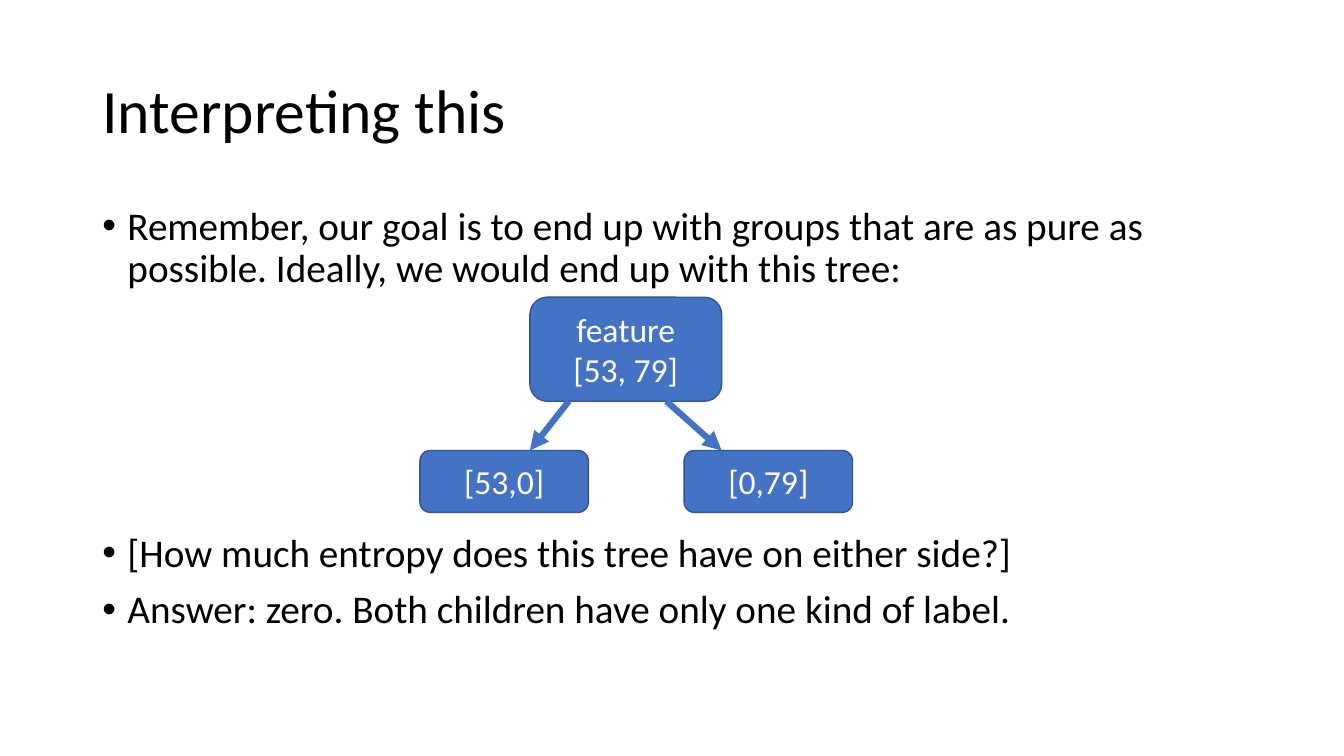
from lxml.etree import SubElement
from pptx import Presentation
from pptx.dml.color import RGBColor
from pptx.enum.shapes import MSO_CONNECTOR, MSO_SHAPE
from pptx.enum.text import MSO_ANCHOR, PP_ALIGN
from pptx.oxml.ns import qn
from pptx.util import Pt

# Content
TITLE = "Interpreting this"
BULLETS = [  # text, space before (the tree sits in the large gap)
    ("Remember, our goal is to end up with groups that are as pure as "
     "possible. Ideally, we would end up with this tree:", 10),
    ("[How much entropy does this tree have on either side?]", 173),
    ("Answer: zero. Both children have only one kind of label.", 10),
]
ROOT_LINES = ["feature", "[53, 79]"]
CHILD_LABELS = ["[53,0]", "[0,79]"]

# Layout and style, lengths in points
FONT = "Calibri"
BLACK, WHITE, BLUE, DARK_BLUE = "000000", "FFFFFF", "4472C4", "325491"
MARGIN, CONTENT_WIDTH, INDENT = 66, 828, 18
ROOT_LEFT, ROOT_TOP, ROOT_WIDTH, ROOT_HEIGHT = 378.5, 212.3, 137, 74.3
CHILD_LEFT, CHILD_TOP, CHILD_WIDTH, CHILD_HEIGHT = 300, 321.8, 120.3, 44.2
CHILD_STEP = 188.7
ARROW_STARTS = [406.3, 476]


def color(value):
    return RGBColor.from_string(value)


def format_text(para, size, value):
    for span in para.runs:
        span.font.name = FONT
        span.font.size = Pt(size)
        span.font.color.rgb = color(value)


def add_node(page, left, top, width, height, lines):
    box = page.shapes.add_shape(MSO_SHAPE.ROUNDED_RECTANGLE,
                                Pt(left), Pt(top), Pt(width), Pt(height))
    box.shadow.inherit = False
    box.fill.solid()
    box.fill.fore_color.rgb = color(BLUE)
    box.line.color.rgb = color(DARK_BLUE)
    box.line.width = Pt(1)
    frame = box.text_frame
    frame.text = "\n".join(lines)
    frame.vertical_anchor = MSO_ANCHOR.MIDDLE
    for para in frame.paragraphs:
        para.alignment = PP_ALIGN.CENTER
        format_text(para, 24, WHITE)


def add_arrow(page, start_x, start_y, end_x, end_y):
    arrow = page.shapes.add_connector(MSO_CONNECTOR.STRAIGHT, Pt(start_x),
                                      Pt(start_y), Pt(end_x), Pt(end_y))
    arrow.line.color.rgb = color(BLUE)
    arrow.line.width = Pt(4.5)
    SubElement(arrow.line._get_or_add_ln(), qn("a:tailEnd"), type="triangle")
    SubElement(arrow._element.spPr, qn("a:effectLst"))


deck = Presentation()
deck.slide_width, deck.slide_height = Pt(960), Pt(540)
page = deck.slides.add_slide(deck.slide_layouts[5])

# Title
title = page.shapes.title
title.left, title.top = Pt(MARGIN), Pt(28.8)
title.width, title.height = Pt(CONTENT_WIDTH), Pt(104.4)
title.text_frame.text = TITLE
title.text_frame.vertical_anchor = MSO_ANCHOR.MIDDLE
heading = title.text_frame.paragraphs[0]
heading.alignment = PP_ALIGN.LEFT
heading.line_spacing = 0.9
format_text(heading, 44, BLACK)

# Bullets
body = page.shapes.add_textbox(Pt(MARGIN), Pt(144), Pt(CONTENT_WIDTH), Pt(378))
body.text_frame.word_wrap = True
body.text_frame.text = "\n".join(text for text, gap in BULLETS)
for para, (text, gap) in zip(body.text_frame.paragraphs, BULLETS):
    para.line_spacing = 0.9
    para.space_before = Pt(gap)
    format_text(para, 28, BLACK)
    properties = para._p.get_or_add_pPr()
    properties.set("marL", str(Pt(INDENT)))
    properties.set("indent", str(-Pt(INDENT)))
    SubElement(properties, qn("a:buFont"), typeface="Arial")
    SubElement(properties, qn("a:buChar"), char="•")

# Tree: root, then each child with its arrow to the root's matching edge
add_node(page, ROOT_LEFT, ROOT_TOP, ROOT_WIDTH, ROOT_HEIGHT, ROOT_LINES)
for index, label in enumerate(CHILD_LABELS):
    add_node(page, CHILD_LEFT + index * CHILD_STEP, CHILD_TOP,
             CHILD_WIDTH, CHILD_HEIGHT, [label])
    add_arrow(page, ARROW_STARTS[index], ROOT_TOP + ROOT_HEIGHT,
              ROOT_LEFT + index * ROOT_WIDTH, CHILD_TOP)

deck.save("out.pptx")
